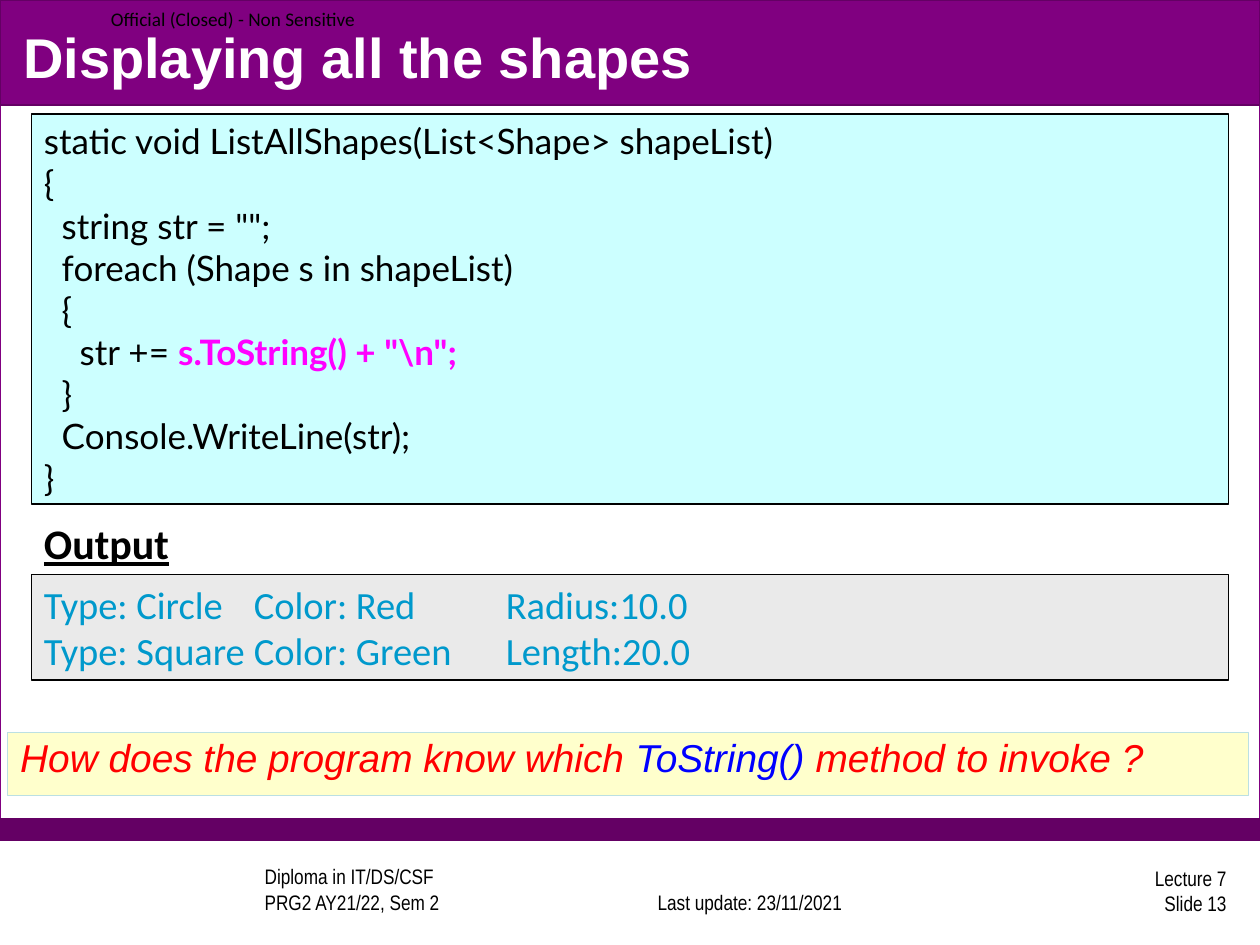
import pptx
import pptx.util
import pptx.dml.color
import pptx.enum.shapes
import pptx.enum.text
import pptx.oxml
import pptx.oxml.ns

Pt = pptx.util.Pt
RGB = pptx.dml.color.RGBColor
ALIGN = pptx.enum.text.PP_ALIGN
ANCHOR = pptx.enum.text.MSO_ANCHOR
RECT = pptx.enum.shapes.MSO_SHAPE.RECTANGLE

BLACK = RGB(0x00, 0x00, 0x00)
WHITE = RGB(0xFF, 0xFF, 0xFF)
PURPLE = RGB(0x80, 0x00, 0x80)
PLUM = RGB(0x64, 0x00, 0x64)
CYAN = RGB(0xCC, 0xFF, 0xFF)
GREY = RGB(0xEA, 0xEA, 0xEA)
CREAM = RGB(0xFF, 0xFF, 0xCC)
PALE = RGB(0xBB, 0xE0, 0xE3)
TEAL = RGB(0x00, 0x99, 0xCC)
PINK = RGB(0xFF, 0x00, 0xFF)
RED = RGB(0xFF, 0x00, 0x00)
BLUE = RGB(0x00, 0x00, 0xFF)

WIDTH, HEIGHT = 720, 540
CALL = 's.ToString() + "\\n";'
CODE = [
    "static void ListAllShapes(List<Shape> shapeList)",
    "{",
    '  string str = "";',
    "  foreach (Shape s in shapeList)",
    "  {",
    "    str += " + CALL,
    "  }",
    "  Console.WriteLine(str);",
    "}",
]
RESULT = ["Type: Circle\tColor: Red\tRadius:10.0",
          "Type: Square\tColor: Green\tLength:20.0"]
ASK = "How does the program know which ToString() method to invoke ?"


def add_rect(slide, box, fill, line, weight=0.75):
    shape = slide.shapes.add_shape(RECT, *map(Pt, box))
    shape.shadow.inherit = False
    shape.fill.solid()
    shape.fill.fore_color.rgb = fill
    shape.line.color.rgb = line
    shape.line.width = Pt(weight)
    return shape


def style(font, name, size, color, bold=False, italic=False):
    font.name = name
    font.size = Pt(size)
    font.color.rgb = color
    font.bold = bold
    font.italic = italic


def write(shape, lines, name, size, color, align=ALIGN.LEFT,
          anchor=ANCHOR.TOP, accent=None, tabs=(), **marks):
    """Fill a shape with lines; accent is (words, color, bold)."""
    frame = shape.text_frame
    frame.word_wrap = True
    frame.vertical_anchor = anchor
    for i, line in enumerate(lines):
        para = frame.add_paragraph() if i else frame.paragraphs[0]
        para.alignment = align
        if tabs:
            stops = pptx.oxml.parse_xml(
                "<a:tabLst %s/>" % pptx.oxml.ns.nsdecls("a"))
            for stop in tabs:
                tab = stops.makeelement(pptx.oxml.ns.qn("a:tab"),
                                        {"pos": str(Pt(stop)), "algn": "l"})
                stops.append(tab)
            para._p.get_or_add_pPr().append(stops)
        if accent and accent[0] in line:
            parts = line.partition(accent[0])
            for part in filter(None, parts):
                para.add_run().text = part
        else:
            para.text = line
        for run in para.runs:
            style(run.font, name, size, color, **marks)
            if accent and run.text == accent[0]:
                run.font.color.rgb = accent[1]
                run.font.bold = accent[2]
    return frame


def add_text(slide, box, lines, *args, **marks):
    shape = slide.shapes.add_textbox(*map(Pt, box))
    return write(shape, lines, *args, **marks)


def add_frame(slide, box):
    """Draw the bordered page with its top and bottom bands."""
    left, top, width, height = box
    add_rect(slide, box, WHITE, PURPLE)
    add_rect(slide, (left, top + height - 12, width, 12), PLUM, PLUM)
    add_rect(slide, (left, top, width, 60), PURPLE, PLUM)


def add_head(slide, box):
    left, top, width, height = box
    label = add_text(slide, (left, top + 4.5, 216.7, 13),
                     ["Official (Closed) - Non Sensitive"],
                     "Calibri", 11, BLACK, anchor=ANCHOR.MIDDLE)
    label.margin_left = Pt(63.4)
    label.margin_right = label.margin_top = label.margin_bottom = 0

    title = slide.shapes.title
    slide.shapes.element.append(title.element)
    title.left, title.top = Pt(left + 6), Pt(top + 9.5)
    title.width, title.height = Pt(width - 12), Pt(height - 15)
    write(title, ["Displaying all the shapes"], "Arial", 32, WHITE,
          anchor=ANCHOR.MIDDLE, bold=True)
    title.text_frame.auto_size = pptx.enum.text.MSO_AUTO_SIZE.NONE


def add_foot(slide, box):
    left, top, width, height = box
    course = add_text(slide, (left + 108, top + 2, 228, height),
                      ["Diploma in IT/DS/CSF\vPRG2 AY21/22, Sem 2"],
                      "Arial Narrow", 12, BLACK, anchor=ANCHOR.BOTTOM)
    course.margin_left = Pt(43.2)
    date = add_text(slide, (left + 351, top + 2, 150, height),
                    ["Last update: 23/11/2021"], "Arial Narrow", 12, BLACK,
                    align=ALIGN.CENTER, anchor=ANCHOR.BOTTOM)
    date.margin_left = Pt(12)
    add_text(slide, (left + width - 162, top, 150, height),
             ["Lecture 7\vSlide 13"], "Arial Narrow", 12, BLACK,
             align=ALIGN.RIGHT, anchor=ANCHOR.MIDDLE)


def add_code(slide, box):
    shape = add_rect(slide, box, CYAN, BLACK, 1)
    write(shape, CODE, "Lato", 20, BLACK, accent=(CALL, PINK, True))


def add_result(slide, box):
    """Place the underlined heading above the program's output."""
    left, top, width, height = box
    shape = add_rect(slide, (left, top + 36, width, height - 36),
                     GREY, BLACK, 1)
    write(shape, RESULT, "Calibri", 22, TEAL, tabs=(120, 264))
    head = add_text(slide, (left, top, 108, 36), ["Output"],
                    "Calibri", 24, BLACK, bold=True)
    head.paragraphs[0].runs[0].font.underline = True


def add_ask(slide, box):
    shape = add_rect(slide, box, CREAM, PALE)
    frame = write(shape, [ASK], "Arial", 22.2, RED,
                  accent=("ToString() ", BLUE, False), italic=True)
    frame.paragraphs[0].line_spacing = 0.9


def main():
    deck = pptx.Presentation()
    deck.slide_width, deck.slide_height = Pt(WIDTH), Pt(HEIGHT)
    slide = deck.slides.add_slide(deck.slide_layouts[5])
    add_frame(slide, (0, 0, WIDTH, 480))
    add_foot(slide, (0, 494, WIDTH, 30))
    add_head(slide, (0, 0, WIDTH, 60))
    add_code(slide, (18, 65, 684, 223))
    add_result(slide, (18, 292.3, 684, 96.5))
    add_ask(slide, (4.5, 418.5, 709, 36))
    deck.save("out.pptx")


if __name__ == "__main__":
    main()
